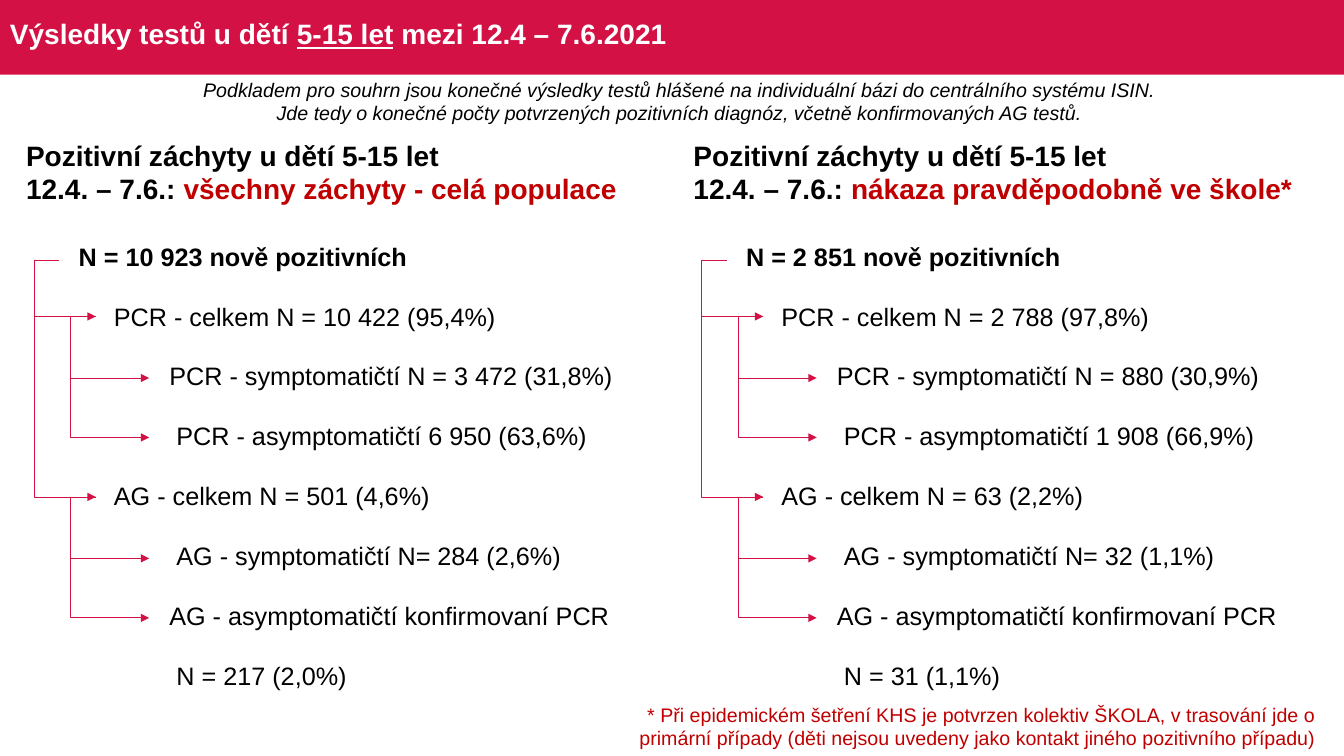
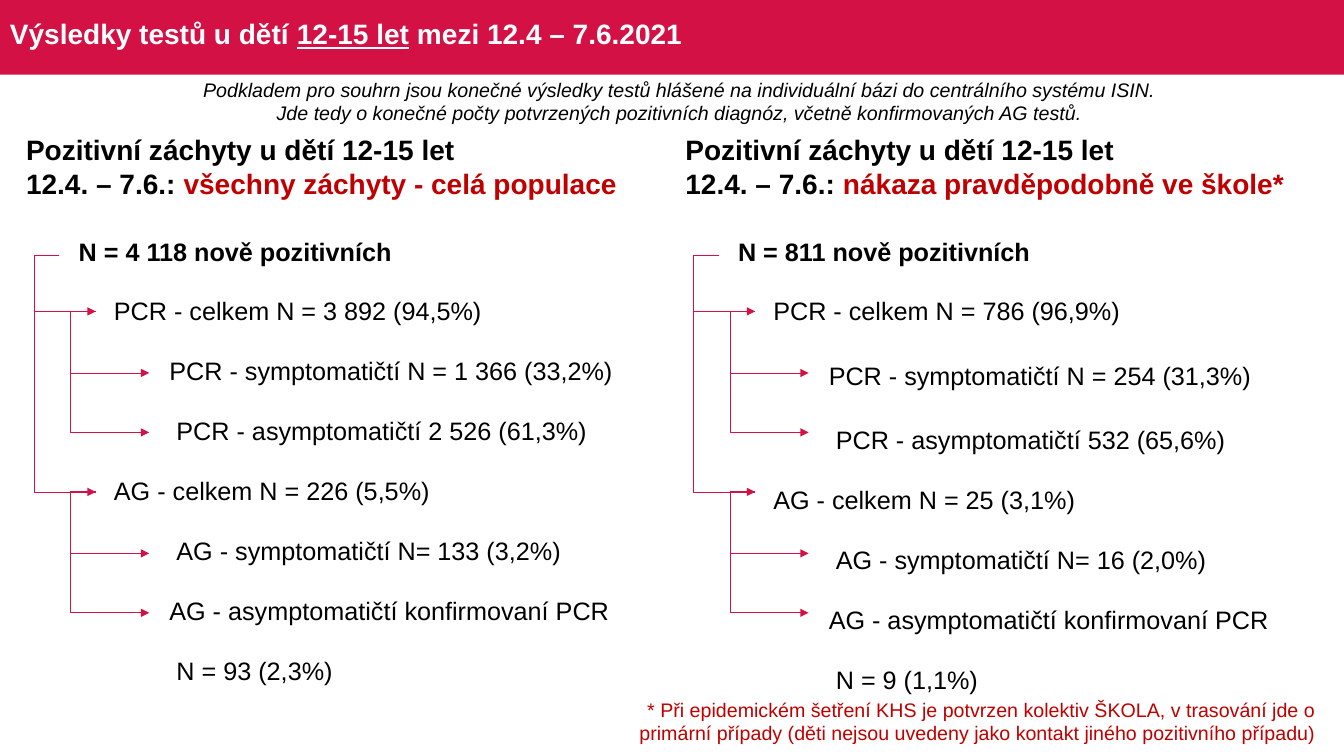
from lxml import etree
from pptx import Presentation
from pptx.dml.color import RGBColor
from pptx.enum.shapes import MSO_CONNECTOR, MSO_SHAPE
from pptx.enum.text import MSO_ANCHOR, PP_ALIGN
from pptx.oxml.ns import qn
from pptx.util import Inches, Pt

RECTANGLE = MSO_SHAPE.RECTANGLE
ELBOW = MSO_CONNECTOR.ELBOW
MIDDLE = MSO_ANCHOR.MIDDLE
LEFT, CENTER, RIGHT = PP_ALIGN.LEFT, PP_ALIGN.CENTER, PP_ALIGN.RIGHT

CRIMSON = RGBColor(0xD3, 0x11, 0x45)
DARK_RED = RGBColor(0xC0, 0x00, 0x00)
BLACK = RGBColor(0x00, 0x00, 0x00)
WHITE = RGBColor(0xFF, 0xFF, 0xFF)
FONT = "Arial"
SLIDE_WIDTH = 13.33

SOURCE_NOTE = [
    "Podkladem pro souhrn jsou konečné výsledky testů hlášené na individuální bázi do centrálního systému ISIN.",
    "Jde tedy o konečné počty potvrzených pozitivních diagnóz, včetně konfirmovaných AG testů.",
]
FOOTNOTE = (
    "* Při epidemickém šetření KHS je potvrzen kolektiv ŠKOLA, v trasování jde o "
    "primární případy (děti nejsou uvedeny jako kontakt jiného pozitivního případu)"
)
ALL_CASES = "všechny záchyty - celá populace"
SCHOOL_CASES = "nákaza pravděpodobně ve škole*"

# Row wording and left indent in inches
BREAKDOWN_ROWS = [
    ("N = {} nově pozitivních", 0.01),
    ("PCR - celkem N = {}", 0.36),
    ("PCR - symptomatičtí N = {}", 0.91),
    ("PCR - asymptomatičtí {}", 0.98),
    ("AG - celkem N = {}", 0.36),
    ("AG - symptomatičtí N= {}", 0.98),
    ("AG - asymptomatičtí konfirmovaní PCR", 0.91),
    ("N = {}", 0.98),
]
ROW_HEIGHT = 4.76 / len(BREAKDOWN_ROWS)

# Each block: left edge, group, values by row, heights that differ
SLIDES = [
    {
        "age": "5-15 let", "block_top": 1.32, "footnote_top": 6.92,
        "blocks": [
            (0.16, ALL_CASES,
             ["10 923", "10 422 (95,4%)", "3 472 (31,8%)", "6 950 (63,6%)",
              "501 (4,6%)", "284 (2,6%)", "", "217 (2,0%)"], {}),
            (6.78, SCHOOL_CASES,
             ["2 851", "2 788 (97,8%)", "880 (30,9%)", "1 908 (66,9%)",
              "63 (2,2%)", "32 (1,1%)", "", "31 (1,1%)"], {}),
        ],
    },
    {
        "age": "12-15 let", "block_top": 1.27, "footnote_top": 6.87,
        "blocks": [
            (0.16, ALL_CASES,
             ["4 118", "3 892 (94,5%)", "1 366 (33,2%)", "2 526 (61,3%)",
              "226 (5,5%)", "133 (3,2%)", "", "93 (2,3%)"], {}),
            (6.7, SCHOOL_CASES,
             ["811", "786 (96,9%)", "254 (31,3%)", "532 (65,6%)",
              "25 (3,1%)", "16 (2,0%)", "", "9 (1,1%)"], {2: 0.68}),
        ],
    },
]


def format_run(run, size, color, bold=False, italic=False):
    run.font.name = FONT
    run.font.size = Pt(size)
    run.font.color.rgb = color
    run.font.bold = bold
    run.font.italic = italic


def add_text(slide, left, top, width, height, lines, size, align=LEFT,
             bold=False, italic=False):
    """Add a text box; each line is a list of (text, colour) pieces."""
    box = slide.shapes.add_textbox(Inches(left), Inches(top), Inches(width), Inches(height))
    frame = box.text_frame
    frame.word_wrap = True
    for index, pieces in enumerate(lines):
        paragraph = frame.paragraphs[0] if index == 0 else frame.add_paragraph()
        paragraph.alignment = align
        for text, color in pieces:
            run = paragraph.add_run()
            run.text = text
            format_run(run, size, color, bold, italic)
    return frame


def add_title_band(slide, age):
    band = slide.shapes.add_shape(RECTANGLE, 0, 0, Inches(SLIDE_WIDTH), Inches(0.74))
    band.shadow.inherit = False
    band.fill.solid()
    band.fill.fore_color.rgb = CRIMSON
    band.line.fill.background()

    pieces = ["Výsledky testů u dětí ", age, " mezi 12.4 – 7.6.2021"]
    frame = add_text(slide, 0, 0.04, 13.15, 0.63,
                     [[(text, WHITE) for text in pieces]], 20, bold=True)
    frame.vertical_anchor = MIDDLE
    paragraph = frame.paragraphs[0]
    paragraph.line_spacing = 0.9
    paragraph.runs[1].font.underline = True


def add_breakdown_table(slide, left, top, values, special_heights):
    width = 5.9
    table = slide.shapes.add_table(
        len(BREAKDOWN_ROWS), 1, Inches(left), Inches(top), Inches(width),
        Inches(ROW_HEIGHT * len(BREAKDOWN_ROWS))).table
    table.first_row = False
    table.horz_banding = False
    for index, ((wording, indent), value) in enumerate(zip(BREAKDOWN_ROWS, values)):
        table.rows[index].height = Inches(special_heights.get(index, ROW_HEIGHT))
        cell = table.cell(index, 0)
        cell.fill.background()
        cell.vertical_anchor = MIDDLE
        cell.margin_left = Inches(indent)
        cell.margin_right = cell.margin_top = Inches(0.01)
        cell.margin_bottom = 0
        paragraph = cell.text_frame.paragraphs[0]
        paragraph.text = wording.format(value)
        format_run(paragraph.runs[0], 18, BLACK, bold=index == 0)


def add_branch(slide, start, end):
    """Draw an elbow arrow that first steps back 0.25 inches to the left."""
    connector = slide.shapes.add_connector(ELBOW, *map(Inches, start + end))
    connector.line.color.rgb = CRIMSON
    connector.line.width = Pt(0.5)
    properties = connector._element.spPr
    etree.SubElement(properties.find(qn("a:ln")), qn("a:tailEnd"), type="triangle")
    etree.SubElement(properties, qn("a:effectLst"))
    bend = round(-0.25 / (end[0] - start[0]) * 100000)
    adjustments = properties.find(qn("a:prstGeom")).get_or_add_avLst()
    etree.SubElement(adjustments, qn("a:gd"), name="adj1", fmla=f"val {bend}")


def add_branches(slide, left, top):
    root = (left + 0.43, top)
    for total_offset in (0.56, 2.35):
        total = (left + 0.79, top + total_offset)
        add_branch(slide, root, total)
        for detail_offset in (0.61, 1.2):
            add_branch(slide, total, (left + 1.32, total[1] + detail_offset))


def add_block(slide, left, top, age, group, values, special_heights):
    heading = [
        [(f"Pozitivní záchyty u dětí {age}", BLACK)],
        [("12.4. – 7.6.: ", BLACK), (group, DARK_RED)],
    ]
    add_text(slide, left, top, 6.3, 0.77, heading, 20, bold=True)
    add_breakdown_table(slide, left + 0.61, top + 0.93, values, special_heights)
    add_branches(slide, left, top + 1.26)


def build_slide(presentation, content):
    slide = presentation.slides.add_slide(presentation.slide_layouts[6])
    add_title_band(slide, content["age"])
    add_text(slide, 1.75, 0.72, 9.98, 0.57,
             [[(line, BLACK)] for line in SOURCE_NOTE], 14, CENTER, italic=True)
    for left, group, values, special_heights in content["blocks"]:
        add_block(slide, left, content["block_top"], content["age"],
                  group, values, special_heights)
    add_text(slide, 6.2, content["footnote_top"], 6.95, 0.57,
             [[(FOOTNOTE, DARK_RED)]], 14, RIGHT)


def main():
    presentation = Presentation()
    presentation.slide_width = Inches(SLIDE_WIDTH)
    presentation.slide_height = Inches(7.5)
    for content in SLIDES:
        build_slide(presentation, content)
    presentation.save("out.pptx")


if __name__ == "__main__":
    main()
